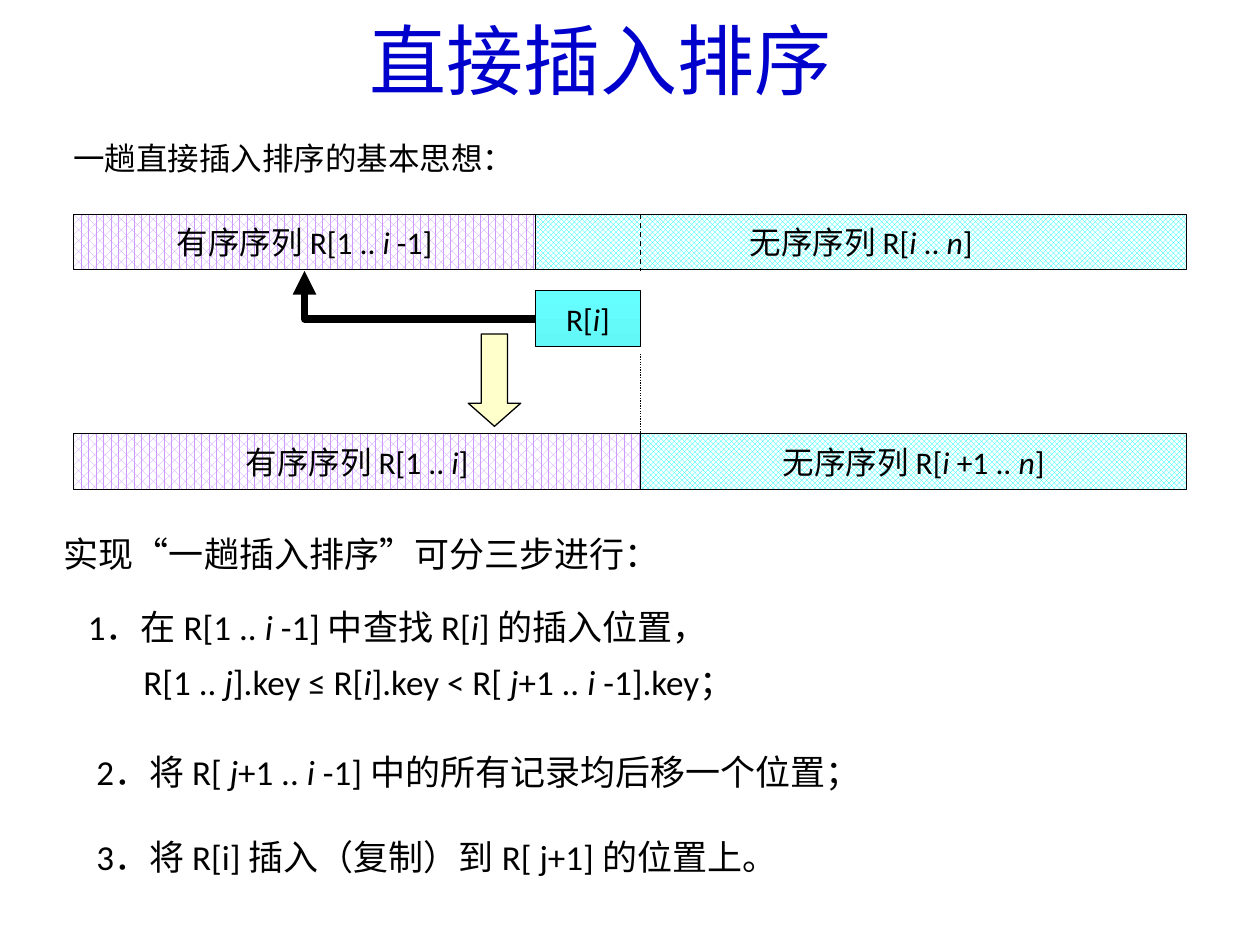
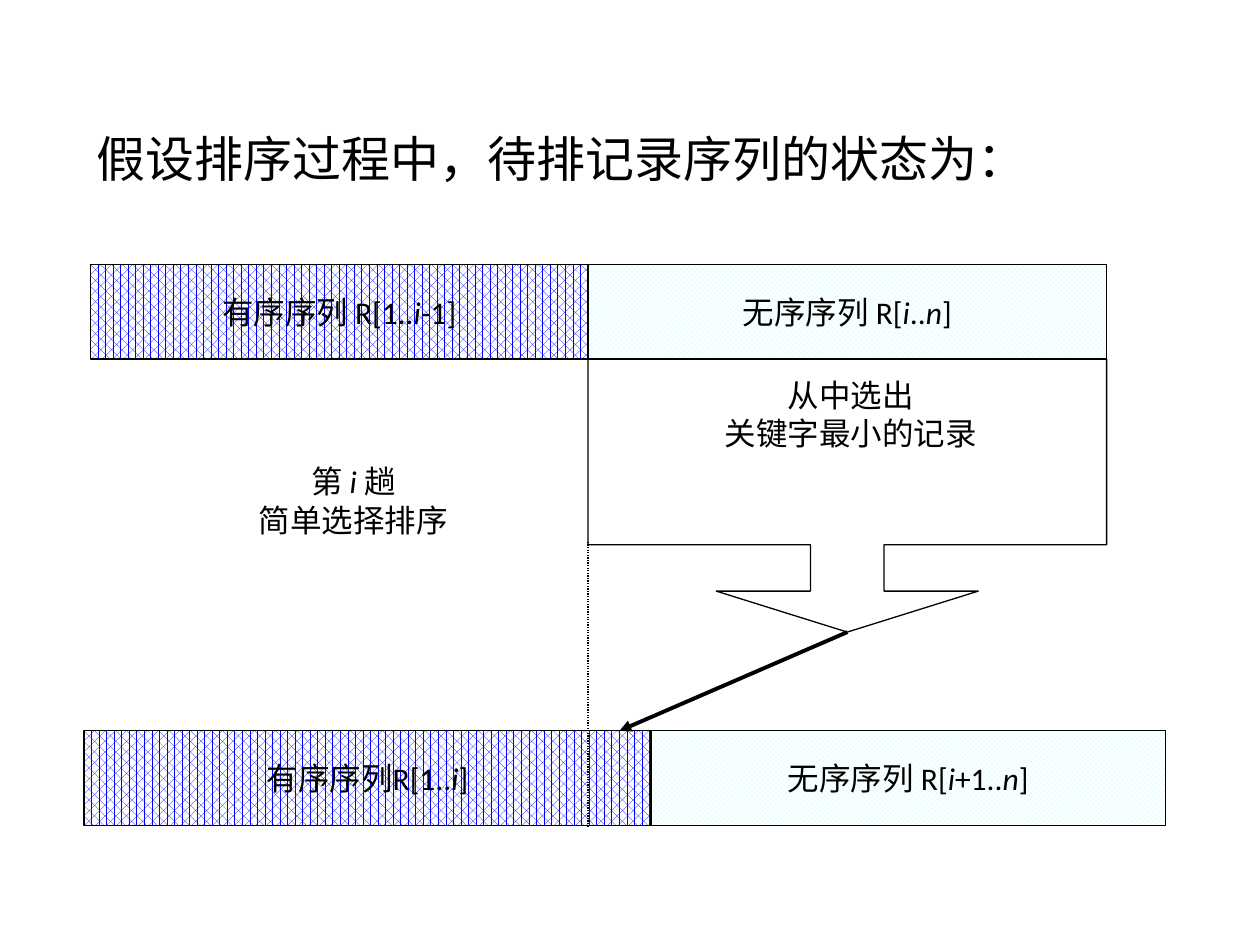
from pptx import Presentation
from pptx.dml.color import RGBColor
from pptx.enum.dml import MSO_LINE as Dash, MSO_PATTERN as Pat
from pptx.enum.shapes import MSO_CONNECTOR as Conn, MSO_SHAPE as Geo
from pptx.enum.text import MSO_ANCHOR as Anchor, MSO_AUTO_SIZE as Fit, PP_ALIGN as Align
from pptx.oxml.ns import qn
from pptx.util import Inches, Pt
from lxml.etree import SubElement

# Grid: 120 columns by 90 rows on a 10 x 7.5 inch slide
COLS, ROWS = 120, 90
LATIN, HAN = "Calibri", "Noto Sans CJK SC"
INK, BLUE, WHITE = "000000", "0000CC", "FFFFFF"
LILAC, AQUA, NAVY, PALE = "CC99FF", "00FFFF", "0000FF", "CCFFFF"
CREAM = "FFFFCC"


def rgb(code):
    return RGBColor.from_string(code)


class Deck:
    def __init__(self):
        self.prs = Presentation()
        self.prs.slide_width, self.prs.slide_height = Inches(10), Inches(7.5)
        self.slide = None

    def place(self, *grid):
        """Turn alternating columns and rows into lengths."""
        size = (self.prs.slide_width, self.prs.slide_height)
        return [round(v * size[n % 2] / (COLS, ROWS)[n % 2]) for n, v in enumerate(grid)]

    def page(self, title, at, size, color, face, align):
        """Start a slide and format its title."""
        self.slide = self.prs.slides.add_slide(self.prs.slide_layouts[5])
        head = self.slide.shapes.title
        head.left, head.top, head.width, head.height = self.place(*at)
        self.words(head, [title], size, color, face, align)

    def words(self, shape, lines, size=18, color=INK, face=LATIN, align=Align.LEFT,
              space=1.0, anchor=Anchor.TOP, wrap=True):
        """Fill a shape with paragraphs; asterisks enclose italic parts."""
        frame = shape.text_frame
        frame.word_wrap, frame.auto_size = wrap, Fit.NONE
        frame.vertical_anchor = anchor
        for n, line in enumerate(lines):
            para = frame.add_paragraph() if n else frame.paragraphs[0]
            para.alignment, para.line_spacing = align, space
            for k, part in enumerate(line.split("*")):
                if not part:
                    continue
                run = para.add_run()
                run.text = part
                font = run.font
                font.name, font.size, font.italic = face, Pt(size), k % 2 == 1
                font.bold = False
                font.color.rgb = rgb(color)
                SubElement(run._r.get_or_add_rPr(), qn("a:ea"), typeface=HAN)
        return frame

    def text(self, at, *lines, **style):
        box = self.slide.shapes.add_textbox(*self.place(*at))
        return self.words(box, lines, **style)

    def shape(self, kind, at, fill=None, adjust=()):
        item = self.slide.shapes.add_shape(kind, *self.place(*at))
        item.shadow.inherit = False
        item.line.color.rgb, item.line.width = rgb(INK), Pt(0.75)
        for n, value in enumerate(adjust):
            item.adjustments[n] = value
        if fill:
            item.fill.solid()
            item.fill.fore_color.rgb = rgb(fill)
        else:
            item.fill.background()
        return item

    def label(self, at, line):
        """Draw a box with one centred line."""
        item = self.shape(Geo.RECTANGLE, at)
        self.words(item, [line], align=Align.CENTER, anchor=Anchor.MIDDLE, wrap=False)
        return item

    def band(self, top, high, edges, inks, lines):
        """Draw the sorted part and the unsorted part side by side."""
        for n, pat in enumerate((Pat.PERCENT_60, Pat.TRELLIS)):
            item = self.label((edges[n], top, edges[n + 1] - edges[n], high), lines[n])
            item.fill.patterned()
            item.fill.pattern = pat
            item.fill.fore_color.rgb, item.fill.back_color.rgb = rgb(inks[n]), rgb(WHITE)

    def blend(self, item, *colors):
        item.fill.gradient()
        item.fill.gradient_angle = 270
        for stop, color in zip(item.fill.gradient_stops, colors):
            stop.color.rgb = rgb(color)

    def line(self, ends, width=0.75, dash=None, arrow=False, kind=Conn.STRAIGHT):
        item = self.slide.shapes.add_connector(kind, *self.place(*ends))
        item.line.color.rgb, item.line.width = rgb(INK), Pt(width)
        if dash:
            item.line.dash_style = dash
        props = item.element.spPr
        if arrow:
            SubElement(props.find(qn("a:ln")), qn("a:tailEnd"), type="triangle")
        SubElement(props, qn("a:effectLst"))
        return item

    def bend(self, ends, width):
        """Draw a one-corner arrow from the lower right to the upper left."""
        props = self.line(ends, width, arrow=True, kind=Conn.ELBOW).element.spPr
        props.find(qn("a:prstGeom")).set("prst", "bentConnector2")
        props.find(qn("a:xfrm")).set("rot", "10800000")


deck = Deck()

# Slide 1: straight insertion sort
deck.page("直接插入排序", (3.2, 0.6, 108, 15), 44, BLUE, HAN, Align.CENTER)
deck.text((5.8, 12.7, 60, 6), "一趟直接插入排序的基本思想：", face=HAN)

# Sequence before and after one pass
left, cut, mid, right = 7, 51, 61, 113
high = 5.3
deck.band(20.4, high, (left, cut, right), (LILAC, AQUA),
          ("有序序列 R[1 .. *i *-1]", "无序序列 R[*i *.. *n*]"))
deck.band(41.3, high, (left, mid, right), (LILAC, AQUA),
          ("有序序列 R[1 .. *i*]", "无序序列 R[*i* +1 .. *n*]"))
deck.blend(deck.label((cut, 27.7, mid - cut, high), "R[*i*]"), "66FFFF", "63F8F8")

# Arrows and guides
deck.bend((29, 25.8, cut, 30.36), 4.5)
deck.shape(Geo.DOWN_ARROW, (44.6, 31.8, 5, 8.8), CREAM, (0.5, 0.44))
deck.line((mid, 20.4, mid, 25.8), dash=Dash.DASH)
deck.line((mid, 33.7, mid, 42.5), dash=Dash.ROUND_DOT)

# Three steps
deck.text((4.9, 49.3, 75, 5.6), "实现“一趟插入排序”可分三步进行：", size=20, face=HAN, space=1.2)
steps = deck.text((7.2, 55.9, 90, 11.3), "1．在 R[1 .. *i* -1] 中查找 R[*i*] 的插入位置，",
                  "R[1 .. *j*].key ≤ R[*i*].key < R[ *j*+1 .. *i* -1].key；", size=20, space=1.3)
steps.paragraphs[1]._p.get_or_add_pPr().set("marL", str(Inches(0.44)))
for top, step in ((69.7, "2．将 R[ *j*+1 .. *i* -1] 中的所有记录均后移一个位置；"),
                  (77.8, "3．将 R[i] 插入（复制）到 R[ j+1] 的位置上。")):
    deck.text((8, top, 108, 6), step, size=20, space=1.3)

# Slide 2: simple selection sort
deck.page("假设排序过程中，待排记录序列的状态为：", (8, 11.6, 100, 6.9), 28, INK, LATIN, Align.LEFT)

# Sequence before the pass and the choice made from it
cut, right, high = 56, 105.4, 9
deck.band(25.2, high, (8.6, cut, right), (NAVY, PALE),
          ("有序序列 R[1..*i*-1]", "无序序列 R[*i*..*n*]"))
deck.text((13.3, 43.2, 40.7, 11.3), "第 *i* 趟", "简单选择排序", align=Align.CENTER, space=1.05)
deck.text((58, 35.2, 46, 13.2), "从中选出", "关键字最小的记录", align=Align.CENTER)
deck.shape(Geo.DOWN_ARROW_CALLOUT, (cut, 34.2, right - cut, 26),
           adjust=(0.27, 0.48, 0.15, 0.68))

# Sequence after the pass
deck.band(69.6, high, (8, 62, 111), (NAVY, PALE),
          ("有序序列R[1..*i*]", "无序序列 R[*i*+1..*n*]"))
deck.line((cut, 51.6, cut, 78.7), dash=Dash.ROUND_DOT)
deck.line(((cut + right) / 2, 60.2, 59, 69.6), 2.25, arrow=True)

deck.prs.save("out.pptx")
